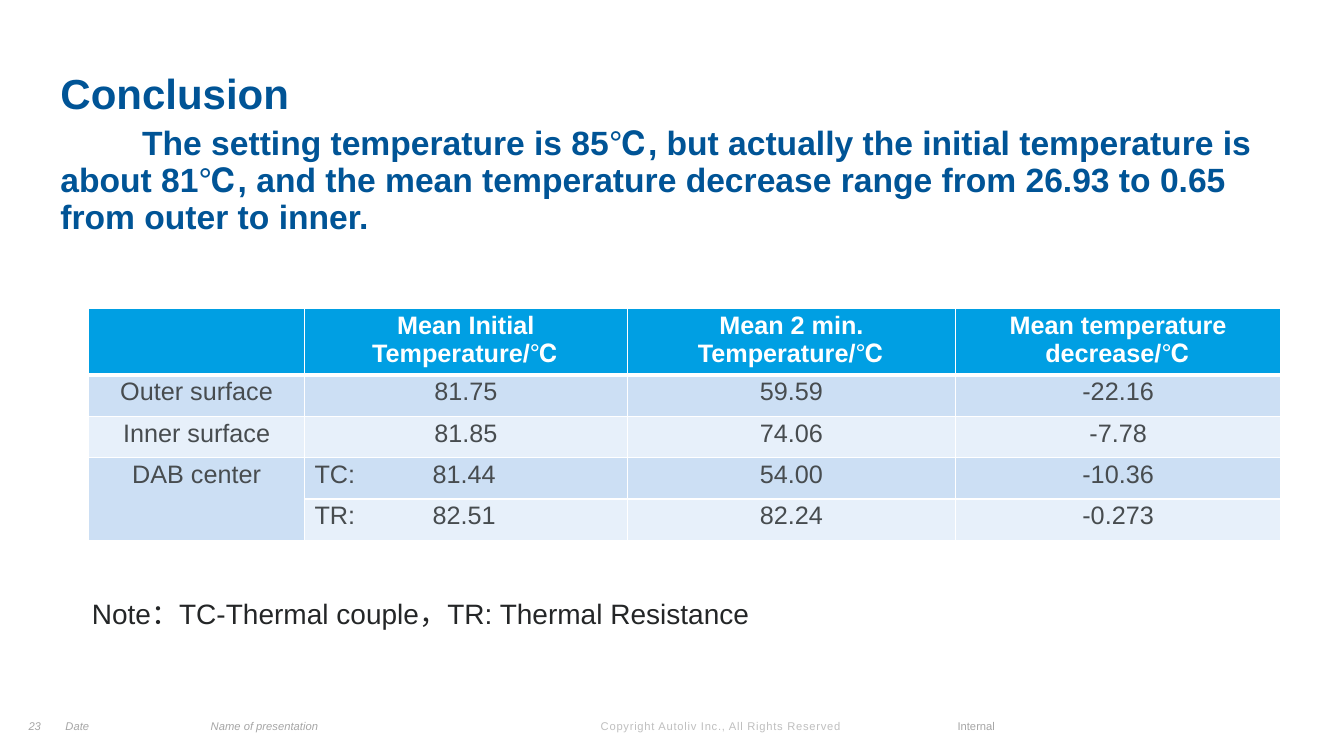
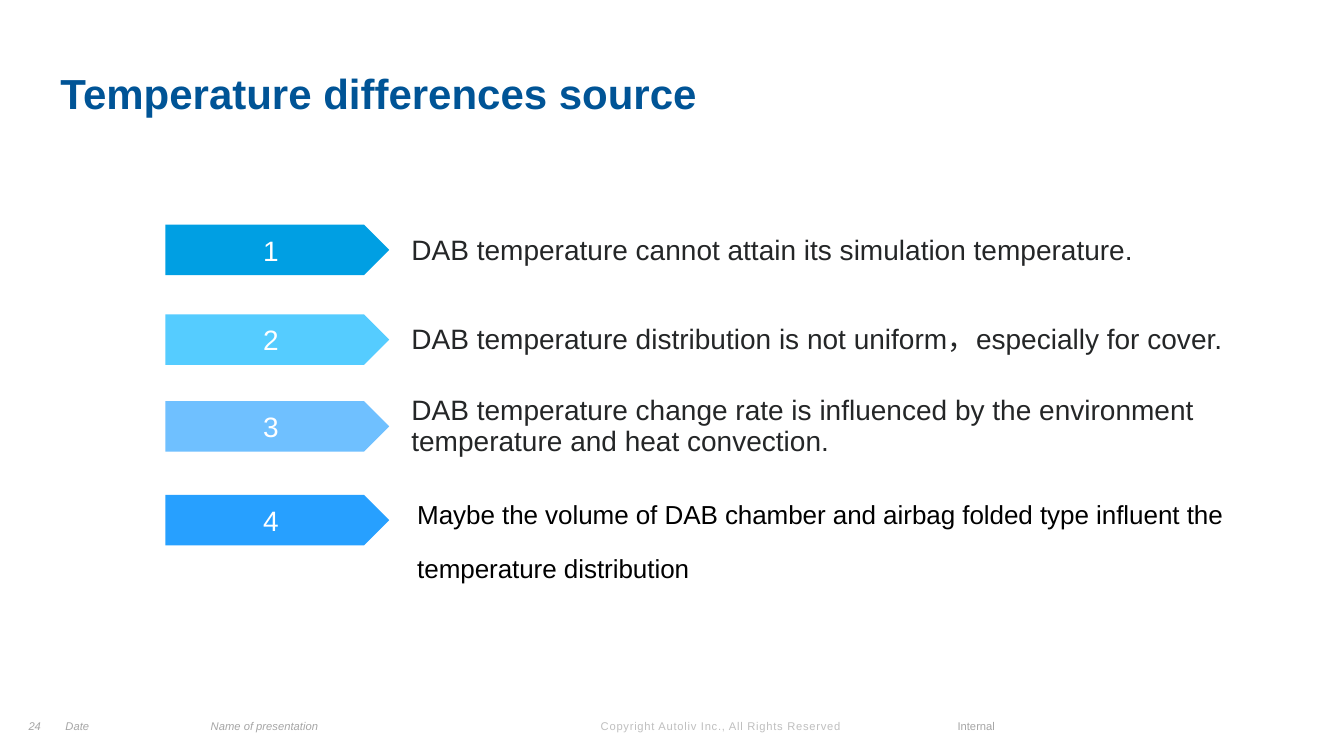
import pptx
import pptx.util
import pptx.dml.color
import pptx.enum.shapes
import pptx.enum.text
import pptx.oxml
import pptx.oxml.ns

Inches = pptx.util.Inches
Pt = pptx.util.Pt
ALIGN = pptx.enum.text.PP_ALIGN
ANCHOR = pptx.enum.text.MSO_ANCHOR
SHAPE = pptx.enum.shapes.MSO_SHAPE

FONT = "Arial"
COLORS = {
    "title": "005496", "body": "242627", "black": "000000", "white": "FFFFFF",
    "footer": "A6A6A6", "copyright": "BFBFBF", "cell": "474C4F",
    "header": "009FE3", "band_dark": "CCDFF4", "band_light": "E7F0FA",
    "arrow_1": "009FE3", "arrow_2": "55CCFF", "arrow_3": "6FC0FF", "arrow_4": "27A0FF",
}

# Content: conclusion slide
CONCLUSION_TITLE = "Conclusion"
CONCLUSION_TEXT = (
    "The setting temperature is 85℃, but actually the initial temperature is about 81℃, "
    "and the mean temperature decrease range from 26.93 to 0.65 from outer to inner."
)
TABLE_ROWS = [
    ["", "Mean Initial Temperature/℃", "Mean 2 min. Temperature/℃", "Mean temperature decrease/℃"],
    ["Outer surface", "81.75", "59.59", "-22.16"],
    ["Inner surface", "81.85", "74.06", "-7.78"],
    ["DAB center", "TC:\t81.44", "54.00", "-10.36"],
    ["", "TR:\t82.51", "82.24", "-0.273"],
]
COLUMN_WIDTHS = [2.14, 3.2, 3.26, 3.22]
HEADER_HEIGHT, ROW_HEIGHT = 0.64, 0.41
CELL_MARGIN = 0.03
NOTE = "Note：TC-Thermal couple，TR: Thermal Resistance"

# Content: sources slide, as (arrow top, text top, text height, text)
SOURCES_TITLE = "Temperature differences source"
SOURCES = [
    (2.23, 2.29, 0.4, "DAB temperature cannot attain its simulation temperature."),
    (3.12, 3.17, 0.4, "DAB temperature distribution is not uniform，especially for cover."),
    (3.98, 3.87, 0.72, "DAB temperature change rate is influenced by the environment "
                       "temperature and heat convection."),
    (4.91, 5.02, 0.82, "Maybe the volume of DAB chamber and airbag folded type influent "
                       "the temperature distribution"),
]

# Footer texts, as (left, width, text, alignment)
FOOTER_TOP, FOOTER_HEIGHT = 7.03, 0.24
FOOTERS = [
    (0.65, 1.34, "Date", ALIGN.LEFT),
    (2.09, 3.54, "Name of presentation", ALIGN.LEFT),
]
COPYRIGHT = "Copyright Autoliv Inc., All Rights Reserved"
CLASSIFICATION = "Internal"


def rgb(name):
    return pptx.dml.color.RGBColor.from_string(COLORS[name])


def add_span(para, text, size, color, bold=False, italic=False):
    span = para.add_run()
    span.text = text
    span.font.name = FONT
    span.font.size = Pt(size)
    span.font.bold = bold
    span.font.italic = italic
    span.font.color.rgb = rgb(color)
    return span


def set_frame(frame, anchor, margins):
    frame.word_wrap = True
    frame.vertical_anchor = anchor
    frame.margin_left = frame.margin_right = Inches(margins[0])
    frame.margin_top = frame.margin_bottom = Inches(margins[1])
    return frame


def add_box(page, left, top, width, height, anchor=ANCHOR.TOP, margins=(0, 0)):
    """Add a wrapping text box and return its text frame."""
    box = page.shapes.add_textbox(Inches(left), Inches(top), Inches(width), Inches(height))
    return set_frame(box.text_frame, anchor, margins)


def add_filled_shape(page, kind, left, top, width, height, color):
    shape = page.shapes.add_shape(
        kind, Inches(left), Inches(top), Inches(width), Inches(height))
    shape.shadow.inherit = False
    shape.fill.solid()
    shape.fill.fore_color.rgb = rgb(color)
    shape.line.fill.background()
    return shape


def add_body(page, left, top, width, height, text):
    frame = add_box(page, left, top, width, height, ANCHOR.MIDDLE, (0.04, 0.04))
    para = frame.paragraphs[0]
    para.line_spacing = 0.95
    add_span(para, text, 20, "body")


def add_classification(page):
    """Add the half-transparent white label in the footer."""
    label = add_filled_shape(
        page, SHAPE.RECTANGLE, 8.91, FOOTER_TOP, 0.96, FOOTER_HEIGHT, "white")
    color = label._element.spPr.find(".//" + pptx.oxml.ns.qn("a:srgbClr"))
    color.append(pptx.oxml.parse_xml(
        f'<a:alpha {pptx.oxml.ns.nsdecls("a")} val="50000"/>'))
    para = set_frame(label.text_frame, ANCHOR.BOTTOM, (0, 0)).paragraphs[0]
    para.alignment = ALIGN.RIGHT
    add_span(para, CLASSIFICATION, 8, "footer")


def add_page(deck, number, title):
    """Add a slide with title and footers; return it with its title frame."""
    page = deck.slides.add_slide(deck.slide_layouts[6])
    add_classification(page)
    frame = add_box(page, 5.86, 7.09, 2.72, 0.23, ANCHOR.BOTTOM, (0.1, 0.05))
    span = add_span(frame.paragraphs[0], COPYRIGHT, 8, "copyright")
    span.font._element.set("spc", "50")

    title_frame = add_box(page, 0.6, 0.73, 12.22, 1.22)
    para = title_frame.paragraphs[0]
    para.line_spacing = 0.9
    add_span(para, title, 30, "title", bold=True)

    page_number = (0.13, 0.43, str(number), ALIGN.CENTER)
    for left, width, text, alignment in FOOTERS + [page_number]:
        frame = add_box(page, left, FOOTER_TOP, width, FOOTER_HEIGHT, ANCHOR.BOTTOM)
        frame.paragraphs[0].alignment = alignment
        add_span(frame.paragraphs[0], text, 8, "footer", italic=True)
    return page, title_frame


def set_borders(cell, top, bottom):
    """Draw white cell borders; top and bottom are widths in points."""
    properties = cell._tc.get_or_add_tcPr()
    for side, width in (("L", 1), ("R", 1), ("T", top), ("B", bottom)):
        properties.append(pptx.oxml.parse_xml(
            f'<a:ln{side} {pptx.oxml.ns.nsdecls("a")} w="{Pt(width)}"><a:solidFill>'
            f'<a:srgbClr val="{COLORS["white"]}"/></a:solidFill></a:ln{side}>'))


def add_tab_stop(para, position):
    para._p.get_or_add_pPr().append(pptx.oxml.parse_xml(
        f'<a:tabLst {pptx.oxml.ns.nsdecls("a")}>'
        f'<a:tab pos="{Inches(position)}" algn="l"/></a:tabLst>'))


def add_results_table(page):
    heights = [HEADER_HEIGHT] + [ROW_HEIGHT] * (len(TABLE_ROWS) - 1)
    table = page.shapes.add_table(
        len(TABLE_ROWS), len(COLUMN_WIDTHS), Inches(0.88), Inches(3.06),
        Inches(sum(COLUMN_WIDTHS)), Inches(sum(heights))).table
    for column, width in zip(table.columns, COLUMN_WIDTHS):
        column.width = Inches(width)
    for row, height in zip(table.rows, heights):
        row.height = Inches(height)

    for r, values in enumerate(TABLE_ROWS):
        is_header = r == 0
        fill = "header" if is_header else "band_dark" if r % 2 else "band_light"
        for c, value in enumerate(values):
            cell = table.cell(r, c)
            cell.margin_top = cell.margin_bottom = Inches(CELL_MARGIN)
            set_borders(cell, 3 if r == 1 else 1, 3 if is_header else 1)
            cell.fill.solid()
            cell.fill.fore_color.rgb = rgb(fill)
            if not value:
                continue
            para = cell.text_frame.paragraphs[0]
            if "\t" in value:
                add_tab_stop(para, 1.17)
            else:
                para.alignment = ALIGN.CENTER
            add_span(para, value, 18, "white" if is_header else "cell", bold=is_header)
    table.cell(3, 0).merge(table.cell(4, 0))


def build_conclusion(deck):
    page, title_frame = add_page(deck, 23, CONCLUSION_TITLE)
    para = title_frame.add_paragraph()
    para.line_spacing = 0.92
    para.space_before = Pt(5)
    para._p.get_or_add_pPr().set("indent", str(Inches(0.81)))
    add_span(para, CONCLUSION_TEXT, 24, "title", bold=True)
    add_results_table(page)
    add_body(page, 0.87, 5.9, 6.65, 0.4, NOTE)


def build_sources(deck):
    page, _ = add_page(deck, 24, SOURCES_TITLE)
    for number, (arrow_top, text_top, height, text) in enumerate(SOURCES, 1):
        # Numbered arrow
        arrow = add_filled_shape(
            page, SHAPE.PENTAGON, 1.64, arrow_top, 2.22, 0.5, f"arrow_{number}")
        arrow.text_frame.vertical_anchor = ANCHOR.MIDDLE
        para = arrow.text_frame.paragraphs[0]
        para.alignment = ALIGN.CENTER
        add_span(para, str(number), 20, "white")

        # Statement; the last one is set as raised text
        if number < len(SOURCES):
            add_body(page, 4.04, text_top, 8.79, height, text)
        else:
            frame = add_box(page, 4.04, text_top, 9.2, height, ANCHOR.MIDDLE, (0.1, 0.05))
            span = add_span(frame.paragraphs[0], text, 32, "black")
            span.font._element.set("baseline", "30000")


def main():
    deck = pptx.Presentation()
    deck.slide_width = Inches(13.33)
    deck.slide_height = Inches(7.5)
    build_conclusion(deck)
    build_sources(deck)
    deck.save("out.pptx")


if __name__ == "__main__":
    main()
